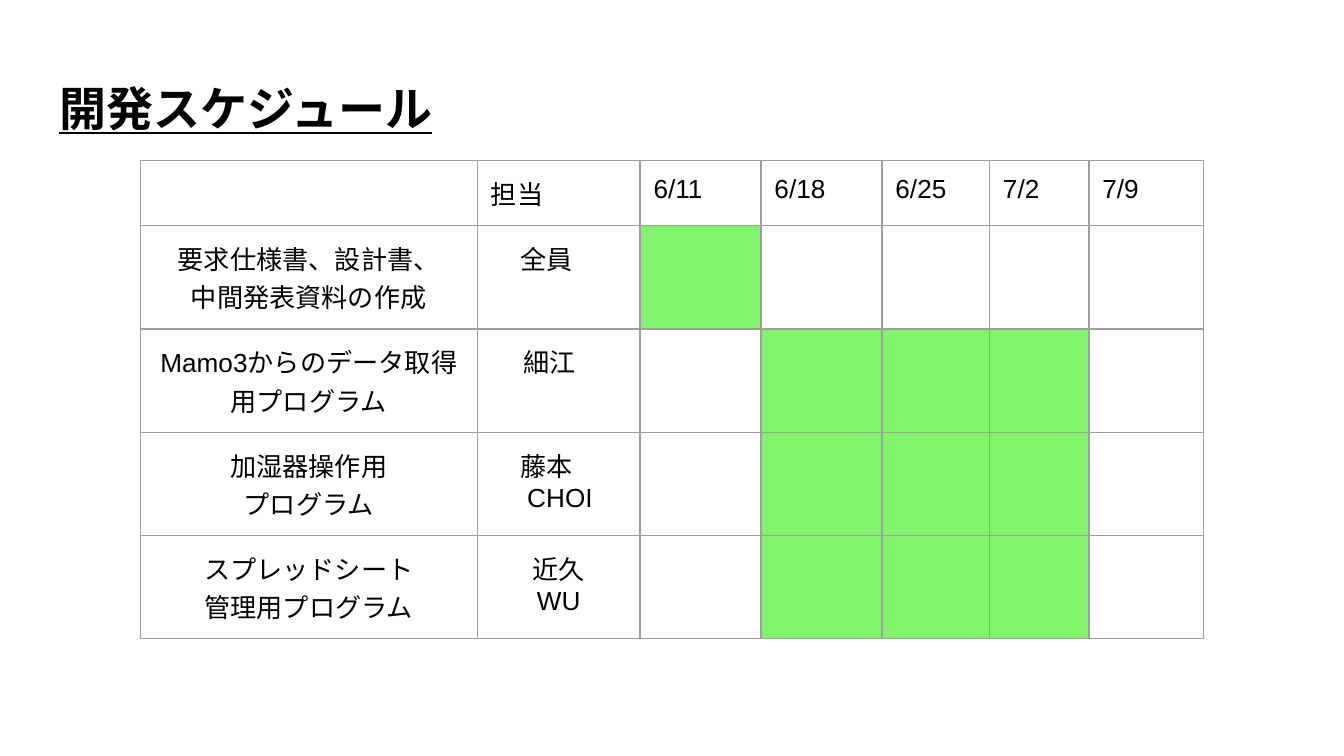
import dataclasses
import typing

import lxml.etree
import pptx
import pptx.dml.color
import pptx.enum.text
import pptx.oxml.ns
import pptx.util

Align = pptx.enum.text.PP_ALIGN


@dataclasses.dataclass(frozen=True)
class Theme:
    ink: str = "000000"
    border: str = "9E9E9E"
    active: str = "80F56C"
    title_font: str = "Noto Sans CJK JP"
    body_font: str = "Arial"
    title_size: float = 25.2
    body_size: float = 14
    border_width: float = 0.75
    inset: float = 0.1


@dataclasses.dataclass(frozen=True)
class Task:
    name: list[str]
    people: list[str]
    weeks: range
    indents: tuple[float, ...] = (0.22, 0.27)
    people_align: typing.Optional[Align] = None


@dataclasses.dataclass(frozen=True)
class Area:
    left: float
    top: float
    width: float
    height: float

    def lengths(self) -> tuple[int, int, int, int]:
        return (round(SLIDE_WIDTH * self.left / 100), round(SLIDE_HEIGHT * self.top / 100),
                round(SLIDE_WIDTH * self.width / 100), round(SLIDE_HEIGHT * self.height / 100))


THEME = Theme()
SLIDE_WIDTH = pptx.util.Inches(10)
SLIDE_HEIGHT = SLIDE_WIDTH * 9 // 16
TITLE_AREA = Area(3.4, 8.6, 93.2, 11.2)
TABLE_AREA = Area(10.43, 21.28, 79.2, 55.1)
COLUMNS = [2.51, 1.21, 0.9, 0.9, 0.8, 0.74, 0.85]
HEADER_HEIGHT = 0.37
TASK_HEIGHT = 0.42
FIRST_WEEK_COLUMN = 2
HEADERS = ["", "担当", "6/11", "6/18", "6/25", "7/2", "7/9"]
BUILD_WEEKS = range(1, 4)
TASKS = [
    Task(["要求仕様書、設計書、", "中間発表資料の作成"], ["全員"], range(0, 1)),
    Task(["Mamo3からのデータ取得用プログラム"], ["細江"], BUILD_WEEKS, indents=(0.24,)),
    Task(["加湿器操作用", "プログラム"], ["藤本", "CHOI"], BUILD_WEEKS),
    Task(["スプレッドシート", "管理用プログラム"], ["近久", "WU"], BUILD_WEEKS,
         indents=(), people_align=Align.CENTER),
]


def color(value: str) -> pptx.dml.color.RGBColor:
    return pptx.dml.color.RGBColor.from_string(value)


def add_child(parent: typing.Any, tag: str, **attributes: str) -> typing.Any:
    return lxml.etree.SubElement(parent, pptx.oxml.ns.qn(tag), attributes)


def set_insets(holder: typing.Any) -> None:
    for side in ("left", "top", "right", "bottom"):
        setattr(holder, f"margin_{side}", pptx.util.Inches(THEME.inset))


def style_font(font: typing.Any, name: str, size: float) -> None:
    font.name = name
    font.size = pptx.util.Pt(size)
    font.color.rgb = color(THEME.ink)


def add_title(slide: typing.Any, text: str) -> None:
    title = slide.shapes.title
    title.left, title.top, title.width, title.height = TITLE_AREA.lengths()
    frame = title.text_frame
    frame.auto_size = pptx.enum.text.MSO_AUTO_SIZE.NONE
    frame.vertical_anchor = pptx.enum.text.MSO_ANCHOR.MIDDLE
    set_insets(frame)
    para = frame.paragraphs[0]
    para.alignment = Align.LEFT
    span = para.add_run()
    span.text = text
    style_font(span.font, THEME.title_font, THEME.title_size)
    span.font.bold = True
    span.font.underline = True
    add_child(span.font._element, "a:ea", typeface=THEME.title_font)


def draw_borders(cell: typing.Any) -> None:
    properties = cell._tc.get_or_add_tcPr()
    width = str(pptx.util.Pt(THEME.border_width))
    for position, side in enumerate(("a:lnL", "a:lnR", "a:lnT", "a:lnB")):
        line = add_child(properties, side, w=width)
        fill = add_child(line, "a:solidFill")
        add_child(fill, "a:srgbClr", val=THEME.border)
        properties.remove(line)
        properties.insert(position, line)


def write_cell(cell: typing.Any, lines: list[str],
               align: typing.Optional[Align] = None,
               indents: tuple[float, ...] = ()) -> None:
    cell.text = "\n".join(lines)
    for index, para in enumerate(cell.text_frame.paragraphs):
        para.alignment = align
        style_font(para.font, THEME.body_font, THEME.body_size)
        if index < len(indents):
            margin = pptx.util.Inches(indents[index])
            para._p.get_or_add_pPr().set("marL", str(margin))


def add_schedule(slide: typing.Any) -> None:
    heights = [HEADER_HEIGHT] + [TASK_HEIGHT] * len(TASKS)
    area = TABLE_AREA.lengths()
    frame = slide.shapes.add_table(len(heights), len(COLUMNS), *area)
    table = frame.table
    table.first_row = False
    table.horz_banding = False
    for column, width in zip(table.columns, COLUMNS):
        column.width = pptx.util.Inches(width)
    for row, height in zip(table.rows, heights):
        row.height = pptx.util.Inches(height)
    frame.height = area[-1]
    for cell in table.iter_cells():
        set_insets(cell)
        cell.fill.background()
        draw_borders(cell)
    for column, header in enumerate(HEADERS):
        write_cell(table.cell(0, column), [header])
    for row, task in enumerate(TASKS, start=1):
        write_cell(table.cell(row, 0), task.name, Align.CENTER)
        write_cell(table.cell(row, 1), task.people, task.people_align, task.indents)
        for week in task.weeks:
            cell = table.cell(row, FIRST_WEEK_COLUMN + week)
            cell.fill.solid()
            cell.fill.fore_color.rgb = color(THEME.active)


def main() -> None:
    deck = pptx.Presentation()
    deck.slide_width, deck.slide_height = SLIDE_WIDTH, SLIDE_HEIGHT
    slide = deck.slides.add_slide(deck.slide_layouts.get_by_name("Title Only"))
    add_title(slide, "開発スケジュール")
    add_schedule(slide)
    deck.save("out.pptx")


if __name__ == "__main__":
    main()
